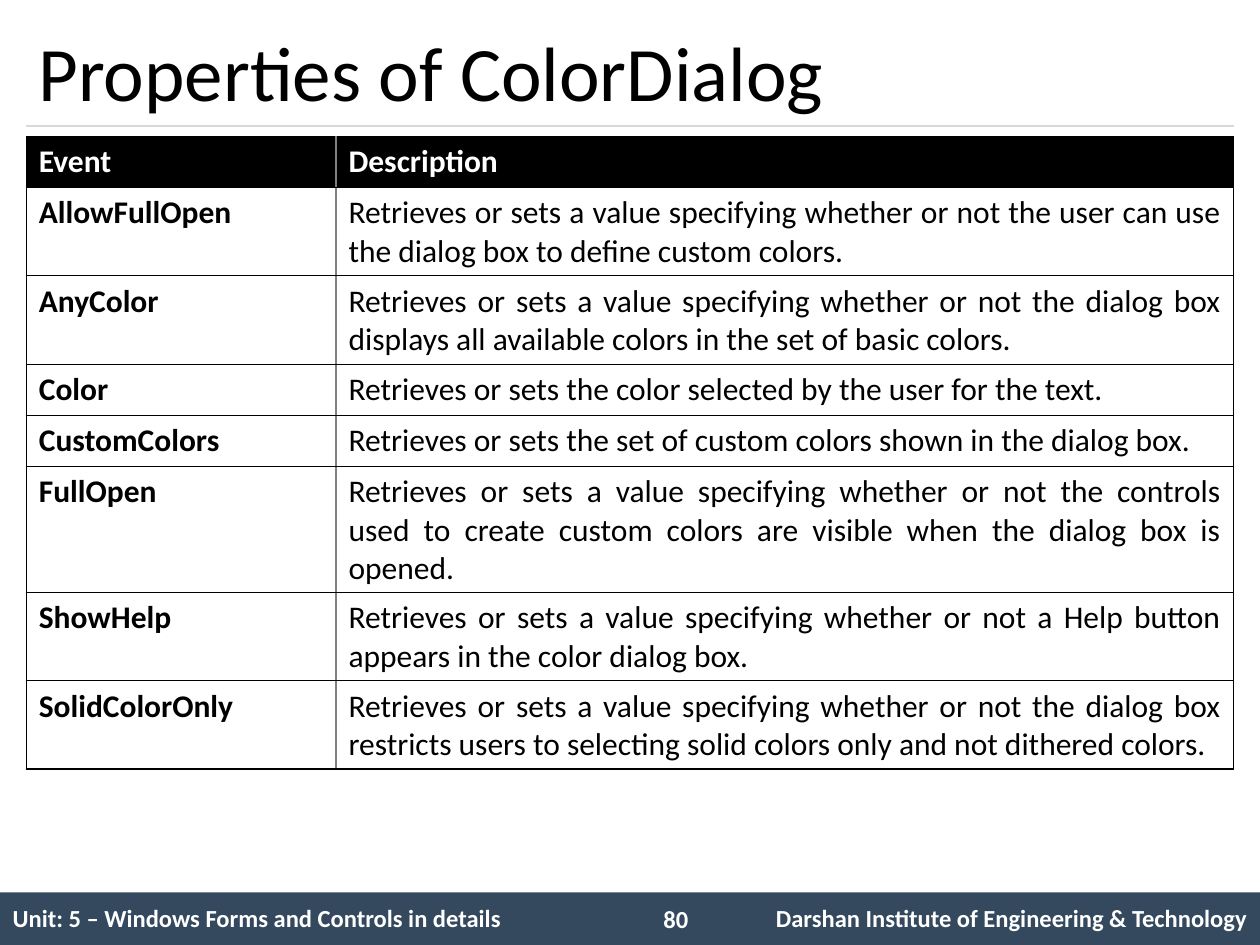
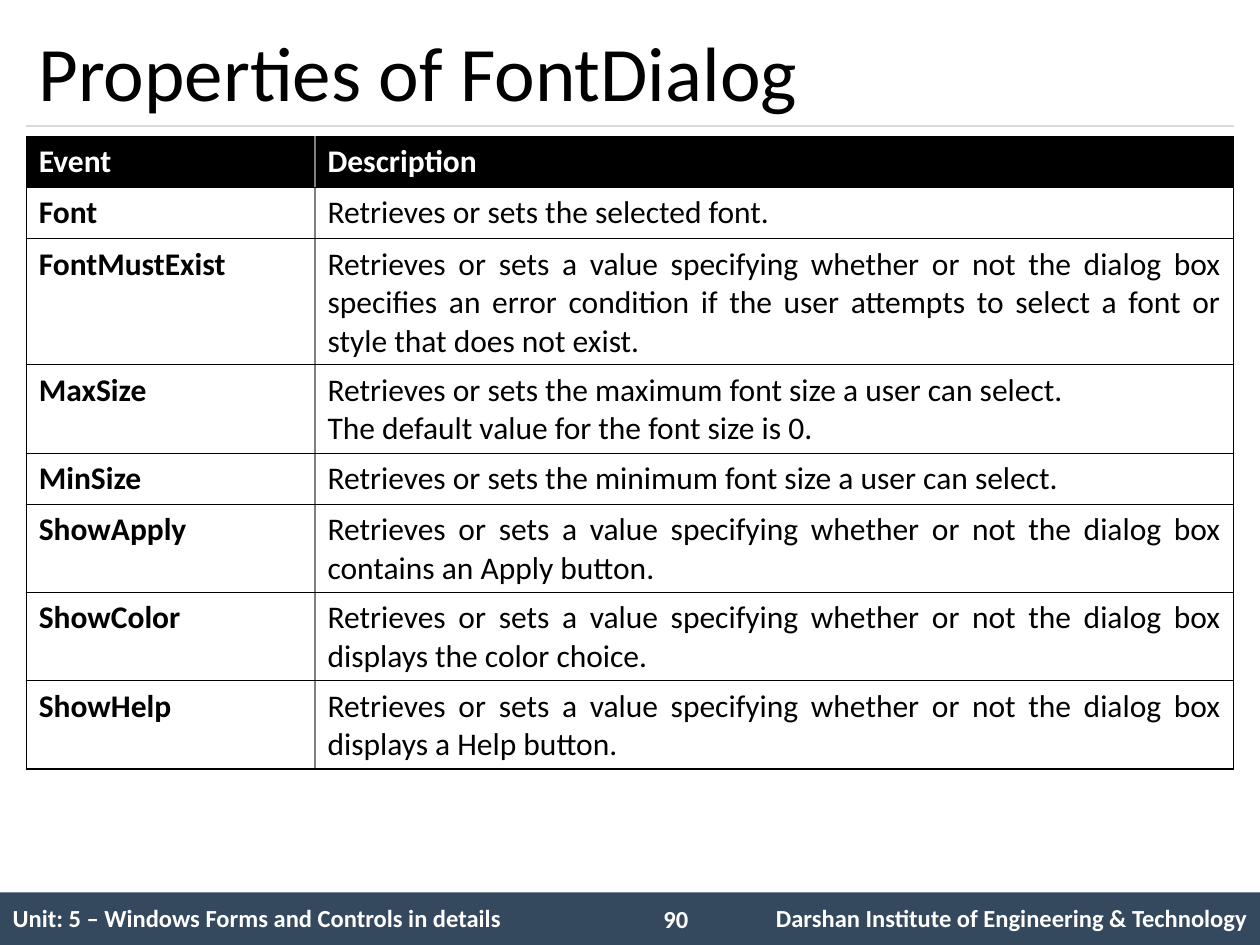
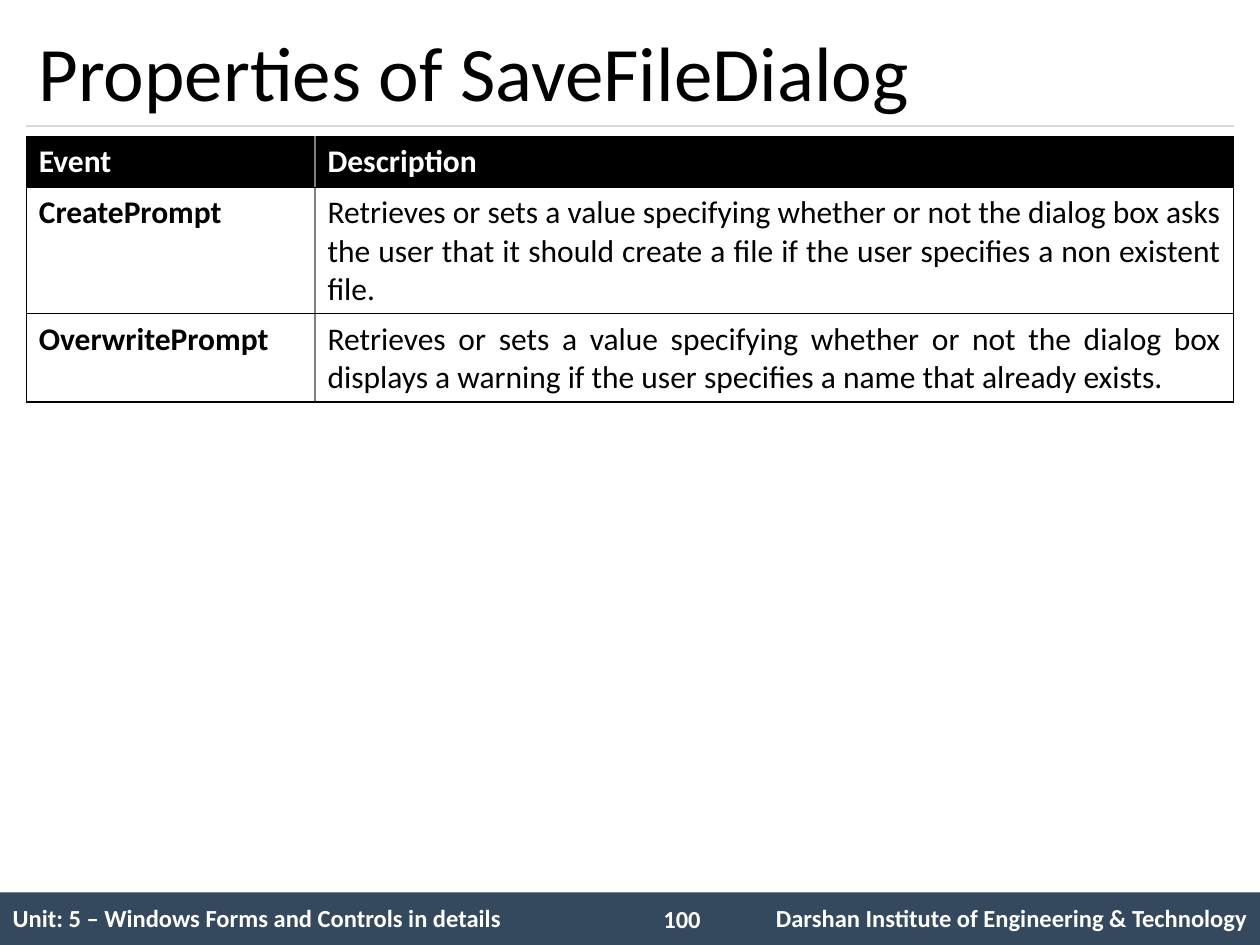
from lxml.etree import SubElement
from pptx import Presentation
from pptx.dml.color import RGBColor
from pptx.enum.shapes import MSO_CONNECTOR, MSO_SHAPE
from pptx.enum.text import MSO_ANCHOR as Anchor, PP_ALIGN as Align
from pptx.oxml.ns import qn
from pptx.util import Pt

PX = 9525
WIDTH, HEIGHT = 960, 720
FONT = "Calibri"
BLACK = RGBColor(0x00, 0x00, 0x00)
WHITE = RGBColor(0xFF, 0xFF, 0xFF)
NAVY = RGBColor(0x34, 0x49, 0x5E)
SILVER = RGBColor(0xD9, 0xD9, 0xD9)
GRAY = RGBColor(0x80, 0x80, 0x80)
PLAIN_TABLE_STYLE = "{2D5ABB26-0587-4C30-8999-92F81FD0307C}"
ROW_HEIGHT = 39

TITLE_BOX = (20, 12, 920, 84)
TABLE_BOX = (20, 104, 920)
FOOTER_BOX = (0, 680, WIDTH, 40)
FOOTER_COLUMNS = (488, 64, 408)
UNIT = "Unit: 5 – Windows Forms and Controls in details"
INSTITUTE = "Darshan Institute of Engineering & Technology"
VALUE = "Retrieves or sets a value specifying whether or not "

COLOR_ROWS = [
    ("AllowFullOpen", VALUE + "the user can use the dialog box to define custom colors."),
    ("AnyColor", VALUE + "the dialog box displays all available colors in the set of basic colors."),
    ("Color", "Retrieves or sets the color selected by the user for the text."),
    ("CustomColors", "Retrieves or sets the set of custom colors shown in the dialog box."),
    ("FullOpen", VALUE + "the controls used to create custom colors are visible "
                         "when the dialog box is opened."),
    ("ShowHelp", VALUE + "a Help button appears in the color dialog box."),
    ("SolidColorOnly", VALUE + "the dialog box restricts users to selecting solid colors only "
                               "and not dithered colors."),
]
FONT_ROWS = [
    ("Font", "Retrieves or sets the selected font."),
    ("FontMustExist", VALUE + "the dialog box specifies an error condition if the user "
                              "attempts to select a font or style that does not exist."),
    ("MaxSize", "Retrieves or sets the maximum font size a user can select.\n"
                "The default value for the font size is 0."),
    ("MinSize", "Retrieves or sets the minimum font size a user can select."),
    ("ShowApply", VALUE + "the dialog box contains an Apply button."),
    ("ShowColor", VALUE + "the dialog box displays the color choice."),
    ("ShowHelp", VALUE + "the dialog box displays a Help button."),
]
SAVE_ROWS = [
    ("CreatePrompt", VALUE + "the dialog box asks the user that it should create a file "
                             "if the user specifies a non existent file."),
    ("OverwritePrompt", VALUE + "the dialog box displays a warning if the user specifies "
                                "a name that already exists."),
]
SLIDES = [
    ("Properties of ColorDialog", 80, 236, COLOR_ROWS),
    ("Properties of FontDialog", 90, 220, FONT_ROWS),
    ("Properties of SaveFileDialog", 100, 220, SAVE_ROWS),
]


def scaled(*lengths):
    """Turn px lengths into EMU."""
    return [length * PX for length in lengths]


def write(text_frame, text, size, color, bold=False, align=Align.LEFT):
    """Fill a text frame with evenly formatted paragraphs."""
    text_frame.text = text
    for paragraph in text_frame.paragraphs:
        paragraph.alignment = align
        font = paragraph.font
        font.name, font.size, font.bold = FONT, Pt(size), bold
        font.color.rgb = color


def add_text(slide, box, text, size, color, bold=False, anchor=Anchor.TOP):
    """Add a wrapping text box."""
    text_frame = slide.shapes.add_textbox(*scaled(*box)).text_frame
    text_frame.word_wrap = True
    text_frame.vertical_anchor = anchor
    write(text_frame, text, size, color, bold)


def add_plain_table(slide, left, top, columns, row_count, row_height):
    """Add a table without banding, fills or grid lines."""
    box = scaled(left, top, sum(columns), row_count * row_height)
    table = slide.shapes.add_table(row_count, len(columns), *box).table
    table.horz_banding = False
    table._tbl.tblPr.find(qn("a:tableStyleId")).text = PLAIN_TABLE_STYLE
    for column, width in zip(table.columns, scaled(*columns)):
        column.width = width
    return table


def set_borders(cell, **borders):
    """Draw cell borders given as side=(color, points), in the order L, R, T, B."""
    properties = cell._tc.get_or_add_tcPr()
    for side, (color, points) in borders.items():
        line = SubElement(properties, qn(f"a:ln{side}"), w=str(Pt(points)))
        fill = SubElement(line, qn("a:solidFill"))
        SubElement(fill, qn("a:srgbClr"), val=str(color))


def add_title(slide, box, title):
    """Place the title with a thin rule along its lower edge."""
    left, top, width, height = box
    bottom = top + height
    ends = scaled(left, bottom, left + width, bottom)
    rule = slide.shapes.add_connector(MSO_CONNECTOR.STRAIGHT, *ends)
    rule.line.color.rgb = SILVER
    rule.line.width = Pt(0.75)
    SubElement(rule._element.spPr, qn("a:effectLst"))
    add_text(slide, box, title, 44, BLACK, anchor=Anchor.MIDDLE)


def add_footer(slide, box, number):
    """Draw the footer band with unit, page number and institute."""
    left, top, _, height = box
    band = slide.shapes.add_shape(MSO_SHAPE.RECTANGLE, *scaled(*box))
    band.shadow.inherit = False
    band.fill.solid()
    band.fill.fore_color.rgb = NAVY
    band.line.fill.background()
    table = add_plain_table(slide, left, top, FOOTER_COLUMNS, 1, height + 1)
    for column, text, align in ((0, UNIT, Align.LEFT), (2, INSTITUTE, Align.RIGHT)):
        cell = table.cell(0, column)
        cell.vertical_anchor = Anchor.MIDDLE
        write(cell.text_frame, text, 14, WHITE, True, align)
    number_box = (left + FOOTER_COLUMNS[0] + 8, top + 4, 56, 32)
    add_text(slide, number_box, str(number), 14, WHITE, True)


def add_property_table(slide, box, name_width, rows):
    """Build the two-column table with a black header row."""
    left, top, width = box
    columns = (name_width, width - name_width)
    table = add_plain_table(slide, left, top, columns, len(rows) + 1, ROW_HEIGHT)
    outer, divider = (BLACK, 0.75), (GRAY, 1)
    for row, texts in enumerate([("Event", "Description"), *rows]):
        header = row == 0
        for column, text in enumerate(texts):
            cell = table.cell(row, column)
            sides = (divider, outer) if column else (outer, divider)
            set_borders(cell, L=sides[0], R=sides[1], T=outer, B=outer)
            cell.fill.solid()
            cell.fill.fore_color.rgb = BLACK if header else WHITE
            described = column == 1 and not header
            write(cell.text_frame, text, 18, WHITE if header else BLACK,
                  not described, Align.JUSTIFY if described else Align.LEFT)


def add_property_slide(presentation, title, number, name_width, rows):
    """Add one slide listing the properties of a dialog."""
    slide = presentation.slides.add_slide(presentation.slide_layouts[6])
    add_footer(slide, FOOTER_BOX, number)
    add_title(slide, TITLE_BOX, title)
    add_property_table(slide, TABLE_BOX, name_width, rows)


def main():
    """Build and save the presentation."""
    presentation = Presentation()
    presentation.slide_width, presentation.slide_height = scaled(WIDTH, HEIGHT)
    for content in SLIDES:
        add_property_slide(presentation, *content)
    presentation.save("out.pptx")


if __name__ == "__main__":
    main()
